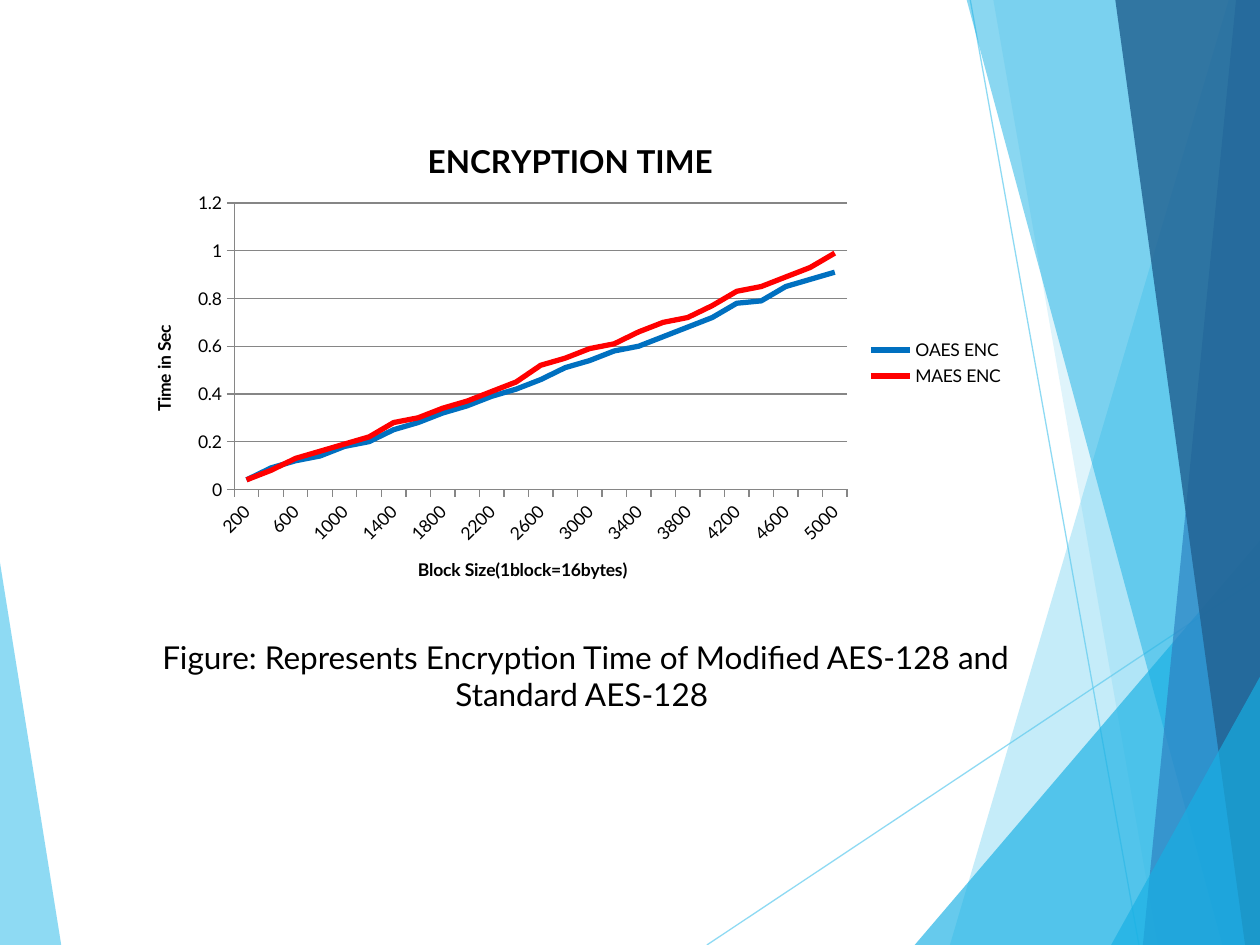
from lxml import etree
from pptx import Presentation
from pptx import util as u
from pptx.chart import data as chart_data
from pptx.dml import color as colors
from pptx.enum import chart as charts, shapes, text
from pptx.oxml import ns

FONT = "Lato"
WIDTH, HEIGHT = 25.4, 19.05
BLEED = 0.03
RIGHT = WIDTH + BLEED
SKY, CYAN, BLUE, NAVY = "5FCBEF", "17B0E4", "2E83C3", "226292"

LEFT_FACET = (SKY, 70, [(-BLEED, 11.15), (1.24, 19.08), (-BLEED, HEIGHT)])
RAYS = [((14.25, HEIGHT), (RIGHT, 11.61)), ((19.56, 0), (22.96, HEIGHT))]
RIGHT_FACETS = [
    (SKY, 36, [(24.77, 0), (19.15, HEIGHT), (RIGHT, HEIGHT), (RIGHT, 0)]),
    (SKY, 20, [(20.02, -BLEED), (23.34, HEIGHT), (RIGHT, HEIGHT), (RIGHT, -BLEED)]),
    (CYAN, 66, [(18.44, HEIGHT), (WIDTH, 10.9), (RIGHT, HEIGHT)]),
    (CYAN, 50, [(19.48, -BLEED), (24.64, HEIGHT), (RIGHT, HEIGHT), (RIGHT, -BLEED)]),
    (BLUE, 70, [(24.92, -BLEED), (23.04, HEIGHT), (RIGHT, HEIGHT), (WIDTH, -BLEED)]),
    (NAVY, 82, [(22.48, -BLEED), (25.1, HEIGHT), (RIGHT, HEIGHT), (WIDTH, -BLEED)]),
    (CYAN, 66, [(22.4, HEIGHT), (RIGHT, 13.59), (RIGHT, HEIGHT)]),
]

CAPTION = "Figure: Represents Encryption Time of Modified AES-128 and Standard AES-128 "
CAPTION_AREA = (2.31, 12.73, 19, 1.8)
CHART_AREA = (2.49, 2.34, 18.01, 9.96)
PLOT_LAYOUT = {"x": 0.124, "y": 0.176, "w": 0.686, "h": 0.58}
CHART_TITLE = "ENCRYPTION TIME"
BLOCK_TITLE = "Block Size(1block=16bytes)"
TIME_TITLE = "Time in Sec"
BLOCK_SIZES = [str(size) for size in range(200, 5001, 200)]
SERIES = [
    ("OAES ENC", "0070C0",
     [0.04, 0.09, 0.12, 0.14, 0.18, 0.2, 0.25, 0.28, 0.32, 0.35, 0.39, 0.42, 0.46,
      0.51, 0.54, 0.58, 0.6, 0.64, 0.68, 0.72, 0.78, 0.79, 0.85, 0.88, 0.91]),
    ("MAES ENC", "FF0000",
     [0.04, 0.08, 0.13, 0.16, 0.19, 0.22, 0.28, 0.3, 0.34, 0.37, 0.41, 0.45, 0.52,
      0.55, 0.59, 0.61, 0.66, 0.7, 0.72, 0.77, 0.83, 0.85, 0.89, 0.93, 0.99]),
]


def rgb(value):
    return colors.RGBColor.from_string(value)


def apply(target, **values):
    for name, value in values.items():
        setattr(target, name, value)


def style_font(font, size, bold=False):
    apply(font, name=FONT, size=u.Pt(size), bold=bold)
    font.fill.solid()
    font.fill.fore_color.rgb = rgb("000000")


def style_line(line, color, width):
    line.color.rgb = rgb(color)
    line.width = u.Pt(width)


def add_child(parent, tag, **attributes):
    return etree.SubElement(parent, ns.qn(tag), **attributes)


def set_opacity(fill_owner, percent):
    for color in fill_owner.iter(ns.qn("a:srgbClr")):
        add_child(color, "a:alpha", val=str(percent * 1000))


def add_facet(page, color, opacity, points):
    corners = [(u.Cm(x), u.Cm(y)) for x, y in points]
    builder = page.shapes.build_freeform(*corners[0])
    builder.add_line_segments(corners[1:], close=True)
    facet = builder.convert_to_shape()
    facet.shadow.inherit = False
    facet.fill.solid()
    facet.fill.fore_color.rgb = rgb(color)
    facet.line.fill.background()
    set_opacity(facet.element.spPr, opacity)


def add_ray(page, start, end):
    ends = [u.Cm(value) for value in start + end]
    ray = page.shapes.add_connector(shapes.MSO_CONNECTOR.STRAIGHT, *ends)
    style_line(ray.line, SKY, 0.75)
    set_opacity(ray.element.spPr, 70)
    add_child(ray.element.spPr, "a:effectLst")


def write_title(owner, words, size):
    frame = owner.text_frame
    frame.text = words
    style_font(frame.paragraphs[0].runs[0].font, size, True)


def add_chart(page):
    data = chart_data.CategoryChartData()
    data.categories = BLOCK_SIZES
    for name, _, values in SERIES:
        data.add_series(name, values)
    area = [u.Cm(value) for value in CHART_AREA]
    chart = page.shapes.add_chart(charts.XL_CHART_TYPE.LINE, *area, data).chart
    style_font(chart.font, 10)
    apply(chart, has_title=True, has_legend=True)
    write_title(chart.chart_title, CHART_TITLE, 18)
    apply(chart.legend, position=charts.XL_LEGEND_POSITION.RIGHT, include_in_layout=False)

    blocks, times = chart.category_axis, chart.value_axis
    for axis, words in ((blocks, BLOCK_TITLE), (times, TIME_TITLE)):
        apply(axis, has_title=True, major_tick_mark=charts.XL_TICK_MARK.OUTSIDE,
              minor_tick_mark=charts.XL_TICK_MARK.NONE)
        write_title(axis.axis_title, words, 10)
        style_font(axis.tick_labels.font, 10)
        style_line(axis.format.line, "868686", 0.75)
    apply(times, minimum_scale=0, maximum_scale=1.2, major_unit=0.2,
          has_major_gridlines=True)
    apply(times.tick_labels, number_format="General", number_format_is_linked=False)
    style_line(times.major_gridlines.format.line, "868686", 0.75)

    block_xml = blocks._element
    block_xml.find(".//" + ns.qn("c:txPr") + "/" + ns.qn("a:bodyPr")).set("rot", "-2700000")
    last = block_xml.find(ns.qn("c:noMultiLvlLbl"))
    for tag, step in (("c:tickLblSkip", "2"), ("c:tickMarkSkip", "1")):
        last.addprevious(etree.Element(ns.qn(tag), val=step))

    plot = chart.plots[0]
    plot.vary_by_categories = False
    for series, (_, color, _) in zip(plot.series, SERIES):
        series.smooth = False
        series.marker.style = charts.XL_MARKER_STYLE.NONE
        style_line(series.format.line, color, 3)

    plot_area = chart._chartSpace.find(".//" + ns.qn("c:plotArea"))
    for old in plot_area.findall(ns.qn("c:layout")):
        plot_area.remove(old)
    layout = etree.Element(ns.qn("c:layout"))
    plot_area.insert(0, layout)
    manual = add_child(layout, "c:manualLayout")
    add_child(manual, "c:layoutTarget", val="inner")
    for edge in "xy":
        add_child(manual, f"c:{edge}Mode", val="edge")
    for name, share in PLOT_LAYOUT.items():
        add_child(manual, f"c:{name}", val=str(share))


def add_caption(page):
    box = page.shapes.add_textbox(*[u.Cm(value) for value in CAPTION_AREA])
    box.text_frame.word_wrap = True
    para = box.text_frame.paragraphs[0]
    para.alignment = text.PP_ALIGN.CENTER
    span = para.add_run()
    span.text = CAPTION
    style_font(span.font, 18)


def main():
    deck = Presentation()
    apply(deck, slide_width=u.Cm(WIDTH), slide_height=u.Cm(HEIGHT))
    page = deck.slides.add_slide(deck.slide_layouts[6])
    add_facet(page, *LEFT_FACET)
    for ray in RAYS:
        add_ray(page, *ray)
    for facet in RIGHT_FACETS:
        add_facet(page, *facet)
    add_chart(page)
    add_caption(page)
    deck.save("out.pptx")


if __name__ == "__main__":
    main()
